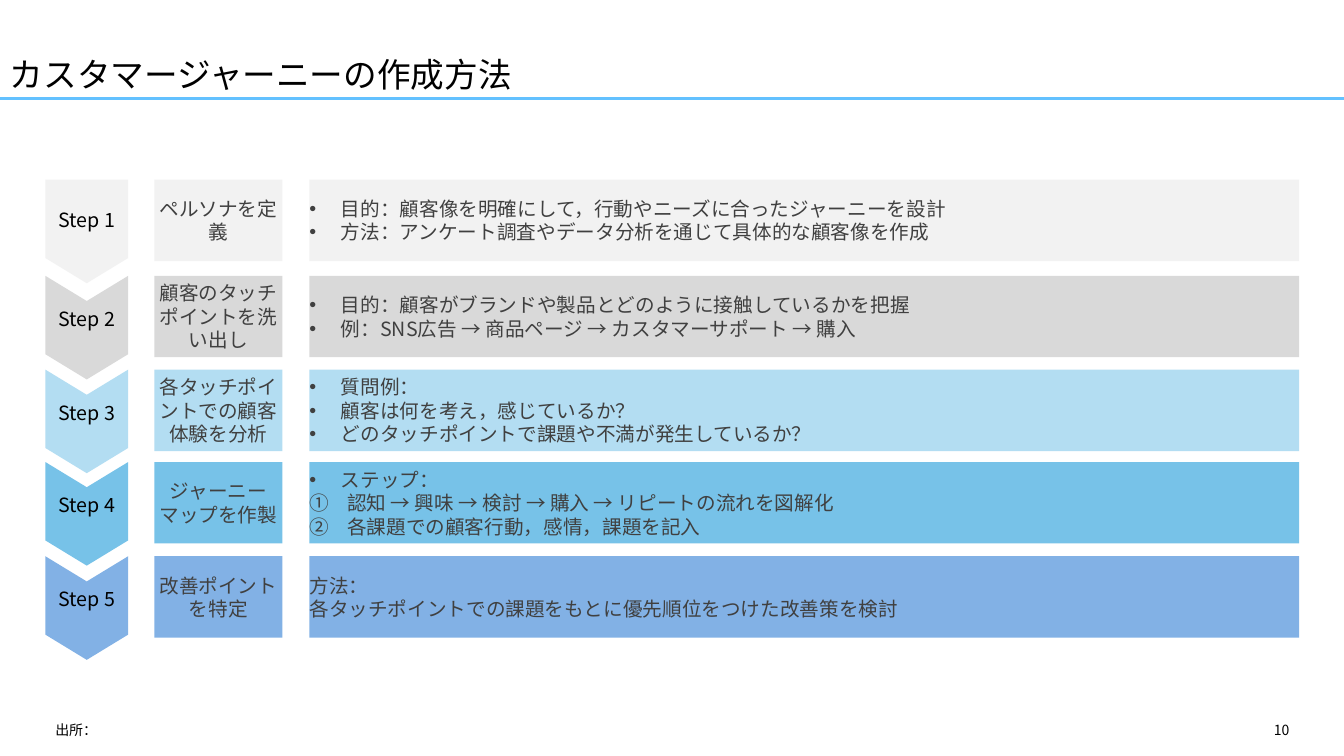
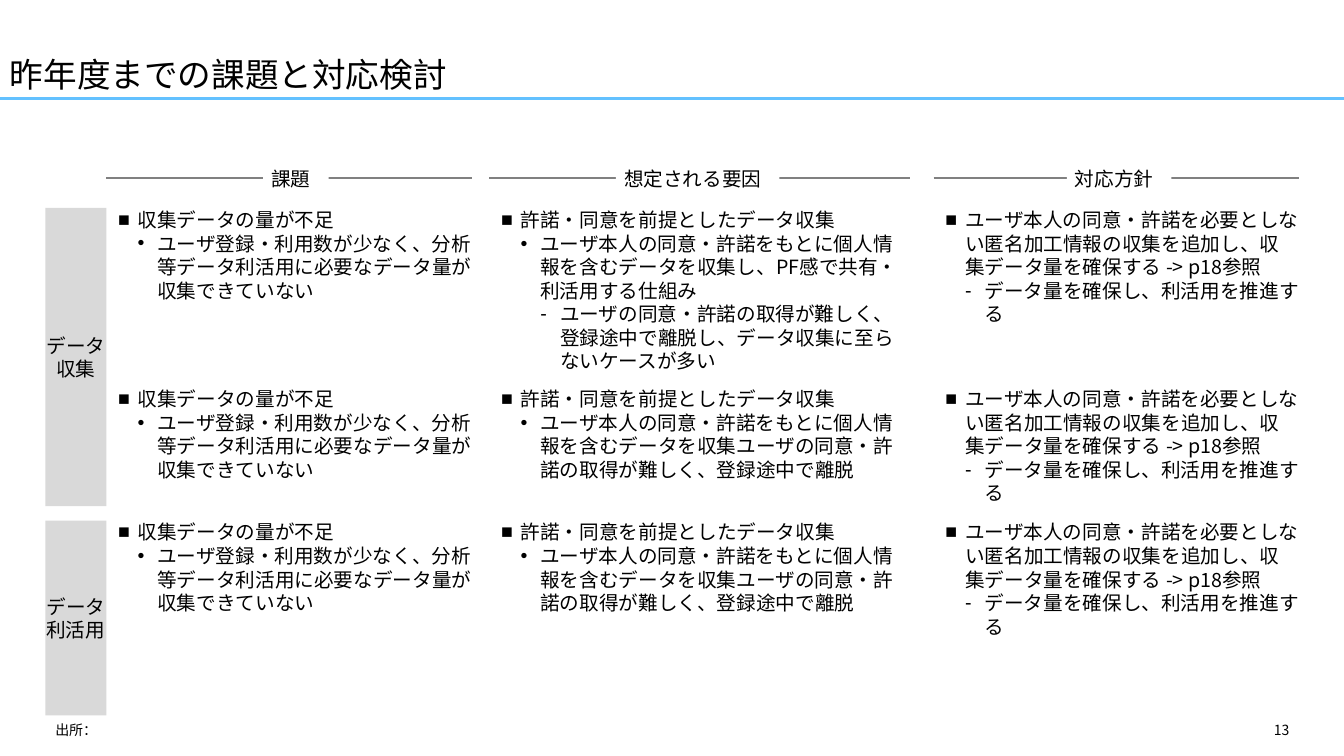
"""Two slides: how to build a customer journey, and a review of issues and responses."""
from lxml import etree
from pptx import Presentation
from pptx.dml.color import RGBColor
from pptx.enum import shapes, text
from pptx.oxml.ns import qn
from pptx.util import Pt

FONT = "Noto Sans CJK JP"
BLACK = RGBColor(0x00, 0x00, 0x00)
DARK = RGBColor(0x40, 0x40, 0x40)
GREY = RGBColor(0x80, 0x80, 0x80)
WHITE = RGBColor(0xFF, 0xFF, 0xFF)
ACCENT = RGBColor(0x63, 0xC1, 0xFF)
SILVER = RGBColor(0xD9, 0xD9, 0xD9)
STEP_COLORS = [RGBColor(0xF2, 0xF2, 0xF2), SILVER, RGBColor(0xB3, 0xDD, 0xF2),
               RGBColor(0x77, 0xC2, 0xE8), RGBColor(0x82, 0xB1, 0xE5)]
LEFT, RIGHT = 32.4, 928
LINE_HEIGHT = 1.2
CENTER, MIDDLE = text.PP_ALIGN.CENTER, text.MSO_ANCHOR.MIDDLE
NUMBERED = "circleNumDbPlain"


def add_box(s, x, y, w, h, paras, fill=None, size=14, color=BLACK, align=text.PP_ALIGN.LEFT,
            anchor=text.MSO_ANCHOR.TOP, inset=(0, 0), spacing=None):
    """Add a text box, or a filled rectangle, with (text, bullet, indent, hanging) paragraphs."""
    frame = Pt(x), Pt(y), Pt(w), Pt(h)
    if fill is None:
        sp = s.shapes.add_textbox(*frame)
    else:
        sp = s.shapes.add_shape(shapes.MSO_SHAPE.RECTANGLE, *frame)
        sp.shadow.inherit = False
        sp.fill.solid()
        sp.fill.fore_color.rgb = fill
        sp.line.fill.background()
    tf = sp.text_frame
    tf.word_wrap = True
    tf.vertical_anchor = anchor
    tf.margin_left = tf.margin_right = Pt(inset[0])
    tf.margin_top = tf.margin_bottom = Pt(inset[1])
    for i, (words, bullet, indent, hanging) in enumerate(paras):
        p = tf.add_paragraph() if i else tf.paragraphs[0]
        p.text = words
        if bullet:
            ppr = p._p.get_or_add_pPr()
            ppr.set("marL", str(Pt(indent)))
            ppr.set("indent", str(-Pt(hanging)))
            if bullet == NUMBERED:
                etree.SubElement(ppr, qn("a:buAutoNum"), type=bullet)
            else:
                etree.SubElement(ppr, qn("a:buFont"), typeface="Arial")
                etree.SubElement(ppr, qn("a:buChar"), char=bullet)
        p.alignment = align
        p.line_spacing = spacing or Pt(size * LINE_HEIGHT)
        for r in p.runs:
            r.font.size = Pt(size)
            r.font.name = FONT
            r.font.color.rgb = color
            etree.SubElement(r._r.get_or_add_rPr(), qn("a:ea"), typeface=FONT)
    return sp


def add_rule(s, x1, x2, y, color, width):
    """Add a horizontal line without a shadow."""
    line = s.shapes.add_connector(shapes.MSO_CONNECTOR.STRAIGHT, Pt(x1), Pt(y), Pt(x2), Pt(y))
    line.line.color.rgb = color
    line.line.width = Pt(width)
    etree.SubElement(line._element.spPr, qn("a:effectLst"))


prs = Presentation()
prs.slide_width, prs.slide_height = Pt(960), Pt(540)

for title, number in [("カスタマージャーニーの作成方法", "10"), ("昨年度までの課題と対応検討", "13")]:
    s = prs.slides.add_slide(prs.slide_layouts[6])
    add_rule(s, 0, 960, 70.6, ACCENT, 2.25)
    add_box(s, 0, 0, 960, 71.3, [(title, None, 0, 0)], size=24,
            anchor=text.MSO_ANCHOR.BOTTOM, inset=(7.2, 3.6), spacing=0.9)
    add_box(s, LEFT, 512, 610, 17.3, [("出所：", None, 0, 0)], size=10, inset=(7.2, 3.6))
    add_box(s, 678, 512, 250, 17.3, [(number, None, 0, 0)], size=10,
            align=text.PP_ALIGN.RIGHT, inset=(7.2, 3.6))

journey, review = prs.slides

DOT = ("•", 22.5, 22.5)
CIRCLED = (NUMBERED, 27, 27)
PLAIN = (None, 0, 0)
steps = [
    (128.3, "ペルソナを定義", [
        ("目的：顧客像を明確にして，行動やニーズに合ったジャーニーを設計", *DOT),
        ("方法：アンケート調査やデータ分析を通じて具体的な顧客像を作成", *DOT)]),
    (197, "顧客のタッチポイントを洗い出し", [
        ("目的：顧客がブランドや製品とどのように接触しているかを把握", *DOT),
        ("例：SNS広告 → 商品ページ → カスタマーサポート → 購入", *DOT)]),
    (264, "各タッチポイントでの顧客体験を分析", [
        ("質問例：", *DOT),
        ("顧客は何を考え，感じているか？", *DOT),
        ("どのタッチポイントで課題や不満が発生しているか？", *DOT)]),
    (330, "ジャーニーマップを作製", [
        ("ステップ：", *DOT),
        ("認知 → 興味 → 検討 → 購入 → リピートの流れを図解化", *CIRCLED),
        ("各課題での顧客行動，感情，課題を記入", *CIRCLED)]),
    (397.3, "改善ポイントを特定", [
        ("方法：", *PLAIN),
        ("各タッチポイントでの課題をもとに優先順位をつけた改善策を検討", *PLAIN)]),
]
ARROW_W, SHOULDER, TIP = 59.2, 56, 18
BAR_H = 58.2
for i, ((top, name, details), color) in enumerate(zip(steps, STEP_COLORS)):
    mid, right = LEFT + ARROW_W / 2, LEFT + ARROW_W
    outline = [(right, top), (right, top + SHOULDER), (mid, top + SHOULDER + TIP),
               (LEFT, top + SHOULDER), (LEFT, top)]
    if i:
        outline.insert(-1, (LEFT, top))
        outline[-1] = (mid, top + TIP)
    fb = journey.shapes.build_freeform(Pt(outline[-1][0]), Pt(outline[-1][1]))
    fb.add_line_segments([(Pt(x), Pt(y)) for x, y in outline[:-1]], close=True)
    arrow = fb.convert_to_shape()
    arrow.shadow.inherit = False
    arrow.fill.solid()
    arrow.fill.fore_color.rgb = color
    arrow.line.fill.background()
    add_box(journey, LEFT, top + (22.2 if i else 20), ARROW_W, 17,
            [(f"Step {i + 1}", *PLAIN)], align=CENTER)
    add_box(journey, 110.2, top, 91.6, BAR_H, [(name, *PLAIN)], fill=color, color=DARK,
            align=CENTER, anchor=MIDDLE)
    add_box(journey, 221, top, RIGHT - 221, BAR_H, details, fill=color, color=DARK, anchor=MIDDLE)

for label, top, height in [("データ収集", 148.5, 213), ("データ利活用", 372, 139)]:
    add_box(review, LEFT, top, 43.6, height, [(label, *PLAIN)], fill=SILVER,
            align=CENTER, anchor=MIDDLE)

SQUARE = ("■", 14.1, 14.1)
SUB_DOT = ("•", 28, 14)
SUB_DASH = ("-", 28, 14)
DEEP_DASH = ("-", 42.2, 14.1)
issue = [("収集データの量が不足", *SQUARE),
         ("ユーザ登録・利用数が少なく、分析等データ利活用に必要なデータ量が収集できていない", *SUB_DOT)]
consent = ("許諾・同意を前提としたデータ収集", *SQUARE)
cause_full = [
    consent,
    ("ユーザ本人の同意・許諾をもとに個人情報を含むデータを収集し、PF感で共有・利活用する仕組み", *SUB_DOT),
    ("ユーザの同意・許諾の取得が難しく、登録途中で離脱し、データ収集に至らないケースが多い", *DEEP_DASH)]
cause_short = [
    consent,
    ("ユーザ本人の同意・許諾をもとに個人情報を含むデータを収集ユーザの同意・許諾の取得が難しく、登録途中で離脱", *SUB_DOT)]
policy = [
    ("ユーザ本人の同意・許諾を必要としない匿名加工情報の収集を追加し、収集データ量を確保する -> p18参照", *SQUARE),
    ("データ量を確保し、利活用を推進する", *SUB_DASH)]

columns = [
    ("課題", 75.8, 337, 188, [(issue, 4)] * 3),
    ("想定される要因", 349.4, 650.2, 440, [(cause_full, 7), (cause_short, 4), (cause_short, 4)]),
    ("対応方針", 666.8, 928, 762, [(policy, 5)] * 3),
]
for heading, left, right, heading_left, cells in columns:
    add_rule(review, left, right, 127.4, GREY, 1.5)
    add_box(review, heading_left, 119, len(heading) * 14 + 18.7, 17, [(heading, *PLAIN)],
            fill=WHITE, inset=(5.8, 0))
    cell_left = left + 8.5
    for top, (paras, lines) in zip([148.5, 276.5, 371.7], cells):
        add_box(review, cell_left, top, right - cell_left, lines * 14 * LINE_HEIGHT, paras)

prs.save("out.pptx")
